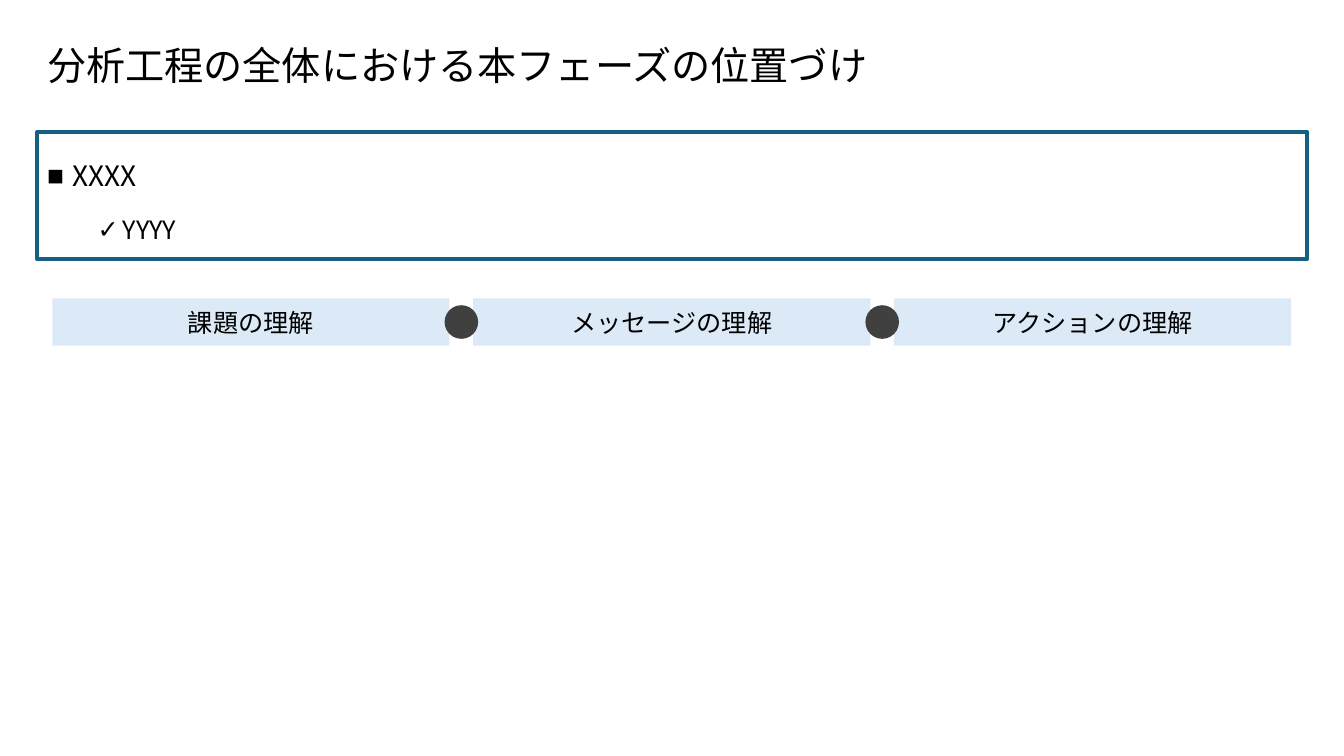
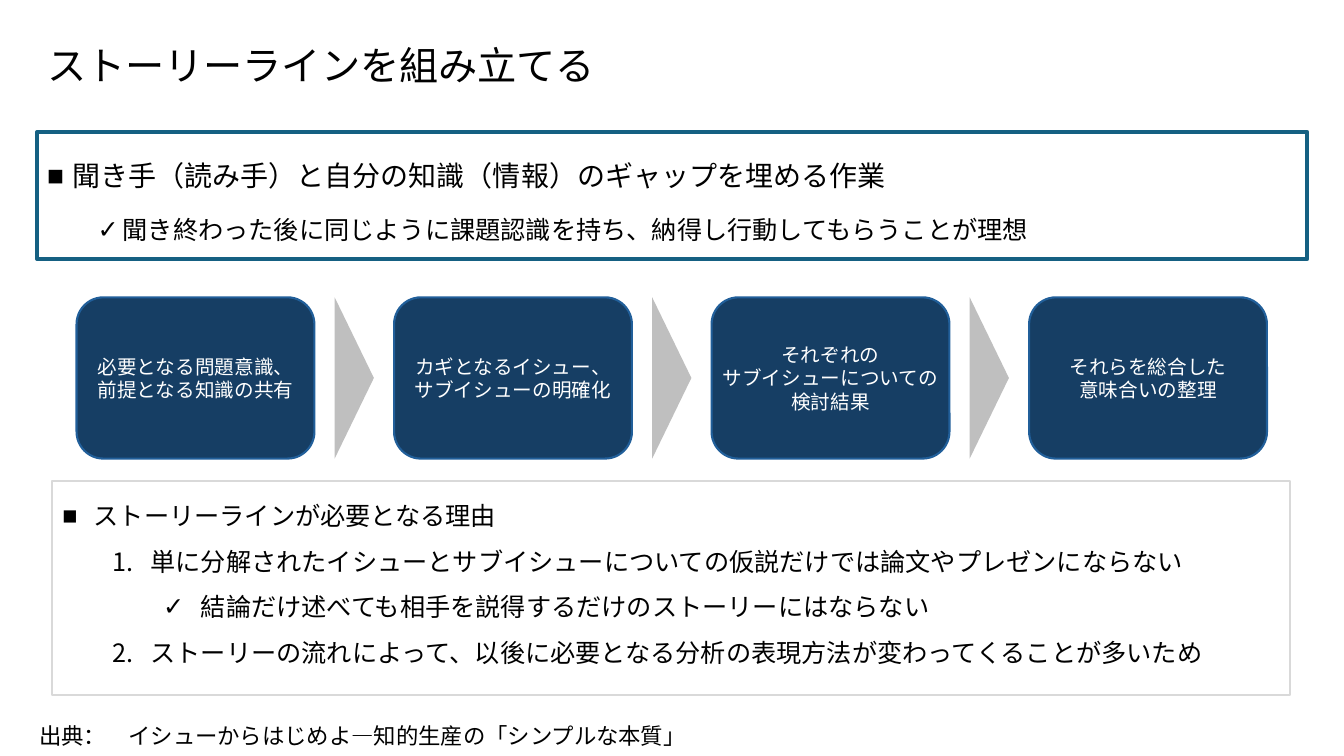
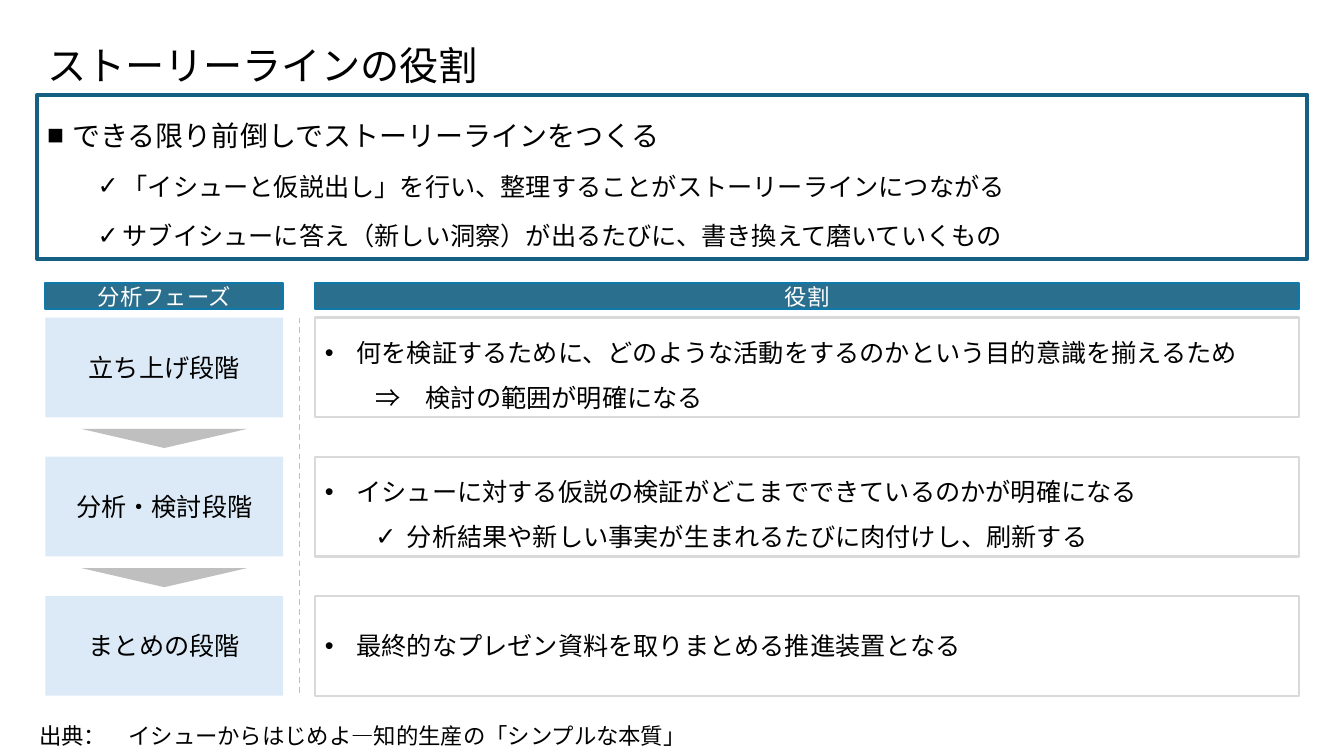
from lxml.etree import SubElement
from pptx import Presentation
from pptx.dml.color import RGBColor
from pptx.enum.dml import MSO_LINE
from pptx.enum.shapes import MSO_CONNECTOR, MSO_SHAPE
from pptx.enum.text import MSO_ANCHOR, PP_ALIGN
from pptx.oxml.ns import qn
from pptx.util import Pt


def tint(code):
    return RGBColor.from_string(code)


def write(frame, text, font="Noto Sans CJK JP", size=18, ink="000000",
          align=PP_ALIGN.LEFT, space=1, before=0, level=0, left=0, hang=0, mark=None):
    para = frame.paragraphs[0]
    if para.runs:
        para = frame.add_paragraph()
    para.alignment, para.level = align, level
    para.line_spacing, para.space_before = space, Pt(before)
    props = para._p.get_or_add_pPr()
    props.set("marL", str(Pt(left)))
    props.set("indent", str(Pt(-hang)))
    if mark == "1.":
        SubElement(props, qn("a:buAutoNum"), type="arabicPeriod")
    elif mark:
        SubElement(props, qn("a:buFont"), typeface="Arial")
        SubElement(props, qn("a:buChar"), char=mark)
    else:
        SubElement(props, qn("a:buNone"))
    run = para.add_run()
    run.text = text
    run.font.name, run.font.size = font, Pt(size)
    run.font.color.rgb = tint(ink)
    SubElement(run._r.get_or_add_rPr(), qn("a:ea"), typeface=font)


class Deck:
    teal, navy, edge = "156082", "163E64", "215F9A"
    pale, grey, rule = "DCEAF7", "BFBFBF", "D9D9D9"
    dark, white, rim = "404040", "FFFFFF", "0D7AAB"
    side, span = 26.6, 907.2

    def __init__(self):
        self.file = Presentation()
        self.file.slide_width, self.file.slide_height = Pt(960), Pt(540)

    def start(self, title):
        self.slide = self.file.slides.add_slide(self.file.slide_layouts[6])
        self.label(title, self.side, 28.8, self.span, 38.9, size=28, space=0.9)

    def label(self, text, x, y, w, h, anchor=MSO_ANCHOR.MIDDLE, **form):
        frame = self.slide.shapes.add_textbox(Pt(x), Pt(y), Pt(w), Pt(h)).text_frame
        frame.word_wrap, frame.vertical_anchor = True, anchor
        write(frame, text, **form)

    def shape(self, kind, x, y, w, h, fill=None, line=None, thick=1.5, alpha=None, turn=0):
        item = self.slide.shapes.add_shape(kind, Pt(x), Pt(y), Pt(w), Pt(h))
        item.shadow.inherit = False
        item.rotation = turn
        if fill:
            item.fill.solid()
            item.fill.fore_color.rgb = tint(fill)
        else:
            item.fill.background()
        if alpha:
            color = item._element.spPr.find(qn("a:solidFill"))[0]
            SubElement(color, qn("a:alpha"), val=str(alpha * 1000))
        if line:
            item.line.color.rgb, item.line.width = tint(line), Pt(thick)
        else:
            item.line.fill.background()
        return item

    def box(self, lines, *place, kind=MSO_SHAPE.RECTANGLE, anchor=MSO_ANCHOR.MIDDLE,
            pad=(7.2, 3.6), form=None, **look):
        frame = self.shape(kind, *place, **look).text_frame
        frame.word_wrap, frame.vertical_anchor = True, anchor
        frame.margin_left = frame.margin_right = Pt(pad[0])
        frame.margin_top = frame.margin_bottom = Pt(pad[1])
        for text, own in lines:
            write(frame, text, **{**(form or {}), **own})

    def band(self, text, *place, size=18, ink="000000", **look):
        self.box([(text, {})], *place, form=dict(size=size, ink=ink, align=PP_ALIGN.CENTER), **look)

    def lead(self, head, points, top=94.3, space=1.5):
        lines = [(head, dict(size=20, before=10, left=18, hang=18, mark="■"))]
        lines += [(text, dict(before=5, level=1, left=54, hang=18, mark="✓")) for text in points]
        self.box(lines, self.side, top, self.span, 185 - top, anchor=MSO_ANCHOR.TOP,
                 pad=(7.2, 7.2), form=dict(space=space), line=self.teal, thick=3)

    def wedge(self, mid, level, wide, high, turn):
        self.shape(MSO_SHAPE.ISOSCELES_TRIANGLE, mid - wide / 2, level - high / 2,
                   wide, high, fill=self.grey, turn=turn)

    def dash(self, x, top, end):
        line = self.slide.shapes.add_connector(MSO_CONNECTOR.STRAIGHT, Pt(x), Pt(top), Pt(x), Pt(end))
        line.line.color.rgb, line.line.width = tint(self.grey), Pt(1)
        line.line.dash_style = MSO_LINE.DASH
        SubElement(line._element.spPr, qn("a:effectLst"))

    def source(self):
        self.label("出典：　イシューからはじめよ―知的生産の「シンプルな本質」",
                   20.9, 504.7, 921.6, 32.4, anchor=MSO_ANCHOR.TOP, size=16, space=1.4)


def place(deck):
    deck.start("分析工程の全体における本フェーズの位置づけ")
    deck.lead("XXXX", ["YYYY"])
    left, wide, step, dot = 37.4, 283.7, 300.6, 24
    for i, text in enumerate(["課題の理解", "メッセージの理解", "アクションの理解"]):
        deck.band(text, left + i * step, 213.1, wide, 33.8, fill=deck.pale)
    for i in range(2):
        mid = left + i * step + (wide + step) / 2
        deck.shape(MSO_SHAPE.OVAL, mid - dot / 2, 230 - dot / 2, dot, dot, fill=deck.dark)


def build(deck):
    deck.start("ストーリーラインを組み立てる")
    deck.lead("聞き手（読み手）と自分の知識（情報）のギャップを埋める作業",
              ["聞き終わった後に同じように課題認識を持ち、納得し行動してもらうことが理想"])
    deck.source()
    deck.box([
        ("ストーリーラインが必要となる理由", dict(left=22.5, hang=22.5, mark="■")),
        ("単に分解されたイシューとサブイシューについての仮説だけでは論文やプレゼンにならない",
         dict(level=1, left=63, hang=27, mark="1.")),
        ("結論だけ述べても相手を説得するだけのストーリーにはならない",
         dict(level=2, left=99, hang=27, mark="✓")),
        ("ストーリーの流れによって、以後に必要となる分析の表現方法が変わってくることが多いため",
         dict(level=1, left=63, hang=27, mark="1.")),
    ], 37.4, 343.4, 884.2, 153.4, anchor=MSO_ANCHOR.TOP, form=dict(space=1.5), line=deck.rule)
    cards = [["必要となる問題意識、", "前提となる知識の共有"],
             ["カギとなるイシュー、", "サブイシューの明確化"],
             ["それぞれの", "サブイシューについての", "検討結果"],
             ["それらを総合した", "意味合いの整理"]]
    left, top, wide, high, step = 54.7, 212.4, 169.9, 115.2, 226.8
    form = dict(size=14, ink=deck.white, align=PP_ALIGN.CENTER)
    for i, card in enumerate(cards):
        x = left + i * step
        deck.box([(text, {}) for text in card], x, top, wide, high,
                 kind=MSO_SHAPE.ROUNDED_RECTANGLE, pad=(0, 3.6), form=form,
                 fill=deck.navy, line=deck.edge)
        if i:
            deck.wedge(x - (step - wide) / 2, top + high / 2, high, 28, 90)


def roles(deck):
    deck.start("ストーリーラインの役割")
    deck.lead("できる限り前倒しでストーリーラインをつくる",
              ["「イシューと仮説出し」を行い、整理することがストーリーラインにつながる",
               "サブイシューに答え（新しい洞察）が出るたびに、書き換えて磨いていくもの"],
              top=67.7, space=1.4)
    point = dict(left=22.5, hang=22.5, mark="•", space=1.5)
    rows = [
        ("立ち上げ段階", [
            ("何を検証するために、どのような活動をするのかという目的意識を揃えるため", point),
            ("⇒　検討の範囲が明確になる", dict(left=36, space=1.5))]),
        ("分析・検討段階", [
            ("イシューに対する仮説の検証がどこまでできているのかが明確になる", point),
            ("分析結果や新しい事実が生まれるたびに肉付けし、刷新する",
             dict(level=1, left=58.5, hang=22.5, mark="✓", space=1.5))]),
        ("まとめの段階", [
            ("最終的なプレゼン資料を取りまとめる推進装置となる", {**point, "space": 1})]),
    ]
    top, high, step = 226.8, 71.3, 99.4
    phase, role = (32.4, 169.9), (225, 703.1)
    for i, (name, lines) in enumerate(rows):
        y = top + i * step
        deck.band(name, phase[0], y, phase[1], high, fill=deck.pale)
        deck.box(lines, role[0], y, role[1], high, line=deck.rule)
        if i:
            deck.wedge(phase[0] + phase[1] / 2, y - (step - high) / 2 + 1, 118.8, 13.7, 180)
    deck.dash(213.8, top, top + 2 * step + high)
    deck.source()
    for text, (x, wide) in [("分析フェーズ", phase), ("役割", role)]:
        deck.band(text, x, 202.3, wide, 18.7, size=16, ink=deck.white,
                  fill=deck.teal, alpha=90, line=deck.rim)


def main():
    deck = Deck()
    for draw in (place, build, roles):
        draw(deck)
    deck.file.save("out.pptx")


if __name__ == "__main__":
    main()
